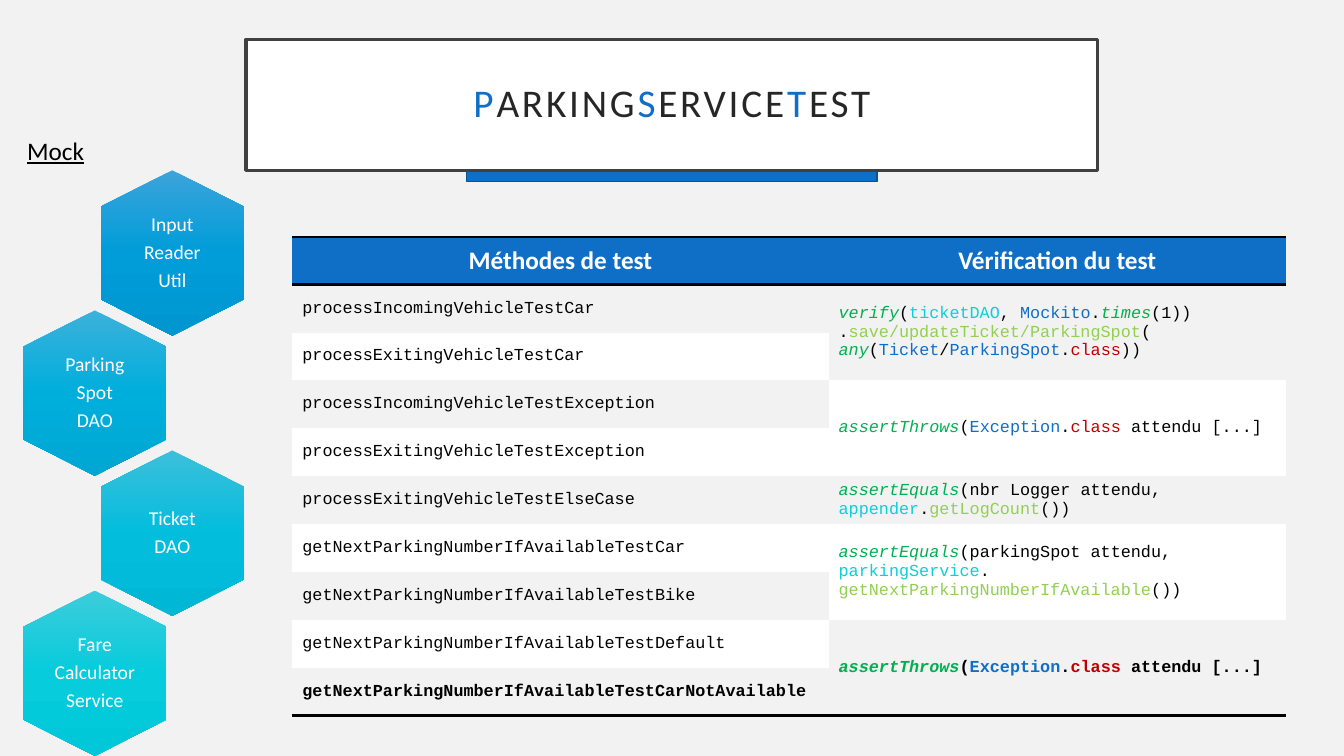
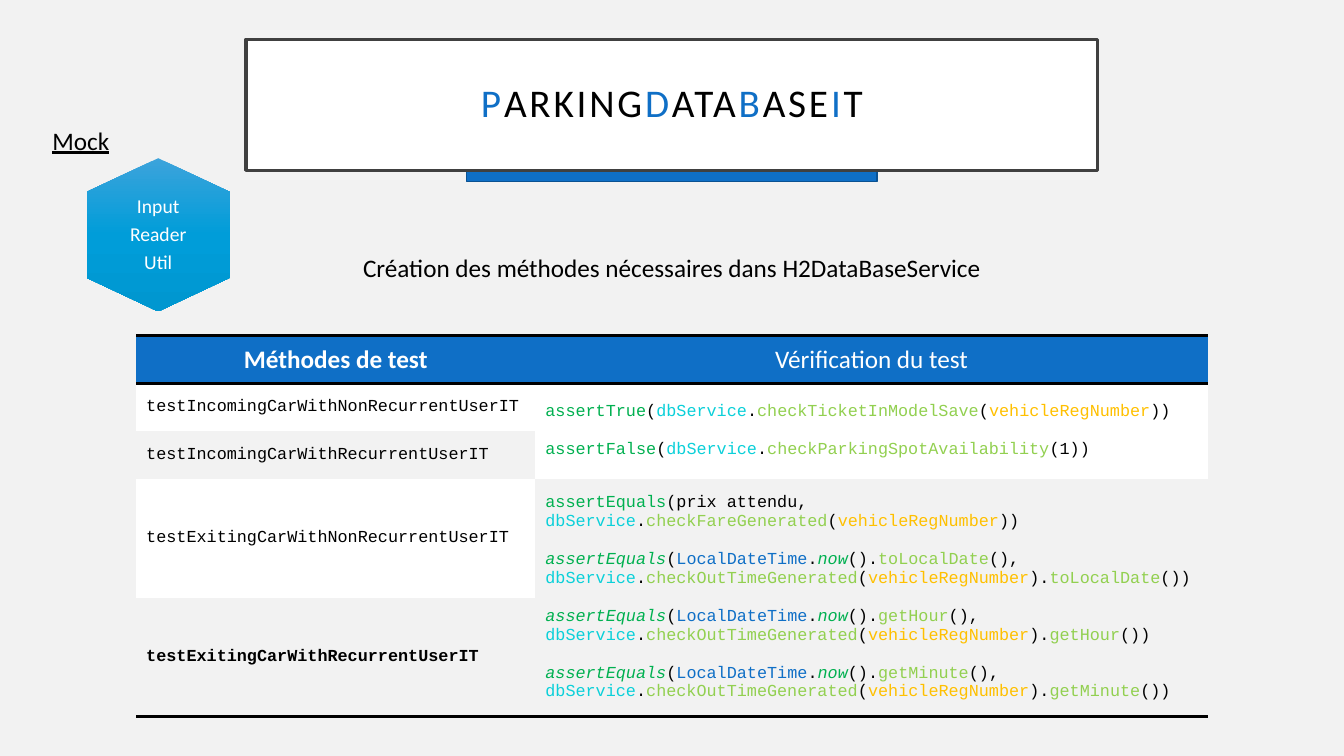
from dataclasses import dataclass, field, replace
from typing import Any, NamedTuple

from lxml.etree import SubElement
from pptx import Presentation
from pptx.dml.color import RGBColor
from pptx.enum.shapes import MSO_SHAPE as Preset
from pptx.enum.text import MSO_ANCHOR as Anchor, MSO_AUTO_SIZE as AutoSize, PP_ALIGN as Align
from pptx.oxml import parse_xml
from pptx.oxml.ns import nsdecls, qn
from pptx.util import Emu, Inches, Pt

WIDTH, HEIGHT = Inches(13.33), Inches(7.5)
PLAIN_TABLE_STYLE = "{2D5ABB26-0587-4C30-8999-92F81FD0307C}"


@dataclass(frozen=True)
class Theme:
    """Colours, fonts and type sizes shared by the slides."""
    paper: str = "F2F2F2"
    white: str = "FFFFFF"
    black: str = "000000"
    soft_black: str = "262626"
    frame: str = "404040"
    accent: str = "0F6FC6"
    accent_edge: str = "0B5292"
    function: str = "00B050"
    variable: str = "0BD0D9"
    method: str = "92D050"
    keyword: str = "C00000"
    argument: str = "FFC000"
    body_font: str = "Calibri"
    code_font: str = "Courier New"
    title_size: float = 28
    body_size: float = 18
    hexagon_size: float = 14
    code_size: float = 12


THEME = Theme()
MARKS = {
    "~": (THEME.function, True),
    "+": (THEME.function, False),
    "@": (THEME.variable, False),
    "#": (THEME.accent, False),
    "%": (THEME.method, False),
    "!": (THEME.keyword, False),
    "$": (THEME.argument, False),
}


class Box(NamedTuple):
    """A place in percent of the slide's width and height."""
    left: float
    top: float
    width: float
    height: float

    def lengths(self) -> tuple[Emu, Emu, Emu, Emu]:
        """Convert the shares to lengths."""
        return across(self.left), down(self.top), across(self.width), down(self.height)


@dataclass(frozen=True)
class TextStyle:
    """Look of a text and of its paragraphs."""
    size: float = THEME.body_size
    font: str = THEME.body_font
    ink: str = THEME.black
    bold: bool = False
    underline: bool = False
    align: Align = Align.LEFT
    line_spacing: float = 1.0
    gap: float = 0
    tracking: float = 0


class Entry(NamedTuple):
    """One table cell, possibly several rows high."""
    lines: tuple[str, ...]
    span: int = 1
    bold: bool = False


class Column(NamedTuple):
    """A table column with its header and cells."""
    width: float
    header: Entry
    entries: list[Entry]


class TestTable(NamedTuple):
    """A table of test methods and their checks."""
    left: float
    top: float
    height: float
    row_weights: tuple[float, ...]
    bands: tuple[str, str]
    columns: tuple[Column, Column]
    gap: float = 0


class Mock(NamedTuple):
    """A hexagon naming a mocked class."""
    words: tuple[str, ...]
    gradient: tuple[str, str, str]
    box: Box


@dataclass(frozen=True)
class TestSlide:
    """Content of one slide."""
    title: str
    title_ink: str
    table: TestTable
    mock_label: Box
    mocks: list[Mock] = field(default_factory=list)
    caption: str = ""


TITLE = TextStyle(THEME.title_size, align=Align.CENTER, line_spacing=0.9, tracking=2)
HEADER = TextStyle(ink=THEME.white, align=Align.CENTER)
CODE = TextStyle(THEME.code_size, THEME.code_font)
HEXAGON = TextStyle(THEME.hexagon_size, ink=THEME.white, align=Align.CENTER, line_spacing=0.9, gap=4.9)
LABEL = TextStyle(underline=True)
CAPTION = TextStyle(align=Align.CENTER)

BAND_BOX = Box(34.73, 21.07, 30.53, 2.93)
TITLE_BOX = Box(18.3, 5.2, 63.38, 17.33)
CAPTION_BOX = Box(25.28, 32.67, 49.43, 5.33)


def across(share: float) -> Emu:
    """Give a percentage of the slide's width."""
    return Emu(round(WIDTH * share / 100))


def down(share: float) -> Emu:
    """Give a percentage of the slide's height."""
    return Emu(round(HEIGHT * share / 100))


def apply(target: Any, formats: dict[str, Any]) -> None:
    """Set each format value on the target."""
    for name, value in formats.items():
        setattr(target, name, value)


def paint(fill: Any, colour: str) -> None:
    """Fill with one solid colour."""
    fill.solid()
    fill.fore_color.rgb = RGBColor.from_string(colour)


def write(text_frame: Any, lines: tuple[str, ...], style: TextStyle) -> None:
    """Write lines of runs split by bars, coloured by their leading mark."""
    for index, line in enumerate(lines):
        paragraph = text_frame.add_paragraph() if index else text_frame.paragraphs[0]
        apply(paragraph, {"alignment": style.align, "line_spacing": style.line_spacing,
                          "space_before": Pt(style.gap if index else 0)})
        for piece in line.split("|"):
            ink, italic = MARKS.get(piece[0], (style.ink, False))
            run = paragraph.add_run()
            run.text = piece[1:] if piece[0] in MARKS else piece
            apply(run.font, {"name": style.font, "size": Pt(style.size), "bold": style.bold,
                             "italic": italic, "underline": style.underline})
            run.font.color.rgb = RGBColor.from_string(ink)
            if style.tracking:
                run._r.get_or_add_rPr().set("spc", str(round(style.tracking * 100)))


def set_frame(text_frame: Any, side: float, end: float) -> None:
    """Centre the text vertically inside the given insets."""
    apply(text_frame, {"word_wrap": True, "vertical_anchor": Anchor.MIDDLE,
                       "margin_left": Inches(side), "margin_right": Inches(side),
                       "margin_top": Inches(end), "margin_bottom": Inches(end)})


def add_panel(slide: Any, box: Box, fill: str, edge: str, weight: float) -> Any:
    """Add an outlined rectangle."""
    shape = slide.shapes.add_shape(Preset.RECTANGLE, *box.lengths())
    shape.shadow.inherit = False
    paint(shape.fill, fill)
    paint(shape.line.fill, edge)
    shape.line.width = Pt(weight)
    return shape


def add_title(slide: Any, title: str, ink: str) -> None:
    """Add the framed title over its accent band."""
    add_panel(slide, BAND_BOX, THEME.accent, THEME.accent_edge, 1)
    panel = add_panel(slide, TITLE_BOX, THEME.white, THEME.frame, 2.5)
    set_frame(panel.text_frame, 0.2, 0.2)
    write(panel.text_frame, (title,), replace(TITLE, ink=ink))


def add_text(slide: Any, box: Box, text: str, style: TextStyle) -> None:
    """Add a growing text box."""
    text_frame = slide.shapes.add_textbox(*box.lengths()).text_frame
    apply(text_frame, {"word_wrap": True, "auto_size": AutoSize.SHAPE_TO_FIT_TEXT})
    write(text_frame, (text,), style)


def add_mock(slide: Any, mock: Mock) -> None:
    """Add a pointed hexagon with a vertical gradient."""
    left, top, width, height = mock.box.lengths()
    corners = [(0.5, 0), (1, 0.22), (1, 0.78), (0.5, 1), (0, 0.78), (0, 0.22)]
    points = [(round(left + x * width), round(top + y * height)) for x, y in corners]
    builder = slide.shapes.build_freeform(*points[0])
    builder.add_line_segments(points[1:], close=True)
    shape = builder.convert_to_shape()
    shape.shadow.inherit = False
    shape.line.fill.background()
    shape.fill.gradient()
    shape.fill.gradient_angle = 270
    stops = shape.element.spPr.find(qn("a:gradFill")).find(qn("a:gsLst"))
    stops.clear()
    for index, colour in enumerate(mock.gradient):
        stop = SubElement(stops, qn("a:gs"), pos=str(index * 50000))
        SubElement(stop, qn("a:srgbClr"), val=colour)
    set_frame(shape.text_frame, 0.28, 0.31)
    write(shape.text_frame, mock.words, HEXAGON)


def add_borders(cell: Any, sides: str) -> None:
    """Rule the given sides of a cell, T for top and B for bottom."""
    properties = cell._tc.get_or_add_tcPr()
    for index, side in enumerate(sides):
        properties.insert(index, parse_xml(
            f'<a:ln{side} {nsdecls("a")} w="{Pt(2)}"><a:solidFill>'
            f'<a:srgbClr val="{THEME.black}"/></a:solidFill></a:ln{side}>'))


def add_test_table(slide: Any, content: TestTable) -> None:
    """Add the table, with bands that alternate down each column."""
    count = len(content.row_weights)
    width = sum(column.width for column in content.columns)
    box = Box(content.left, content.top, width, content.height)
    frame = slide.shapes.add_table(count, len(content.columns), *box.lengths())
    table = frame.table
    apply(table, {"first_row": False, "horz_banding": False})
    for style_id in frame.element.iter(qn("a:tableStyleId")):
        style_id.text = PLAIN_TABLE_STYLE
    unit = content.height / sum(content.row_weights)
    for row, weight in zip(table.rows, content.row_weights):
        row.height = down(unit * weight)
    for position, column in enumerate(content.columns):
        table.columns[position].width = across(column.width)
        start = 0
        for order, entry in enumerate([column.header, *column.entries]):
            cells = [table.cell(start + step, position) for step in range(entry.span)]
            start += entry.span
            if entry.span > 1:
                cells[0].merge(cells[-1])
            for cell in cells:
                paint(cell.fill, content.bands[(order - 1) % 2] if order else THEME.accent)
                if order == 0 or start == count:
                    add_borders(cell, "B" if order else "TB")
            cells[0].vertical_anchor = Anchor.MIDDLE
            style = replace(CODE, gap=content.gap) if order else HEADER
            write(cells[0].text_frame, entry.lines, replace(style, bold=entry.bold))


def method_column(width: float, names: list[str]) -> Column:
    """List test methods, the last one in bold."""
    entries = [Entry((name,), bold=name == names[-1]) for name in names]
    return Column(width, Entry(("Méthodes de test",), bold=True), entries)


def time_check(getter: str) -> str:
    """Give the check that compares one part of the exit time."""
    return (f"~assertEquals|(|#LocalDateTime|.|~now|().|%{getter}|(), |@dbService|.|"
            f"%checkOutTimeGenerated|(|$vehicleRegNumber|).|%{getter}|())")


THROWS = ("~assertThrows|(|#Exception|.|!class| attendu [...]",)
READER = Mock(("Input", "Reader", "Util"), ("3CA3DB", "009DD9", "0097D0"), Box(6.45, 20.93, 10.65, 20.27))
SERVICE_MOCKS = [
    (READER.words, READER.gradient),
    (("Parking", "Spot", "DAO"), ("3CB1DB", "00AEDC", "00A7D3")),
    (("Ticket", "DAO"), ("3CBFDB", "03BDDC", "00B7D6")),
    (("Fare", "Calculator", "Service"), ("3DCCDB", "06CCDC", "00C8D9")),
]
SERVICE_TABLE = TestTable(21.75, 31.33, 63.33, (1,) * 10, (THEME.paper, THEME.white), (
    method_column(39.9, [
        "processIncomingVehicleTestCar", "processExitingVehicleTestCar",
        "processIncomingVehicleTestException", "processExitingVehicleTestException",
        "processExitingVehicleTestElseCase", "getNextParkingNumberIfAvailableTestCar",
        "getNextParkingNumberIfAvailableTestBike", "getNextParkingNumberIfAvailableTestDefault",
        "getNextParkingNumberIfAvailableTestCarNotAvailable"]),
    Column(34.05, Entry(("Vérification du test",), bold=True), [
        Entry(("~verify|(|@ticketDAO|, |#Mockito|.|~times|(1))", ".|%save/updateTicket/ParkingSpot|(",
               "~any|(|#Ticket|/|#ParkingSpot|.|!class|))"), 2),
        Entry(THROWS, 2),
        Entry(("~assertEquals|(nbr Logger attendu, |@appender|.|%getLogCount|())",)),
        Entry(("~assertEquals|(parkingSpot attendu, |@parkingService|.",
               "%getNextParkingNumberIfAvailable|())"), 2),
        Entry(THROWS, 2, True)])))
DATABASE_TABLE = TestTable(10.13, 44.4, 50.4, (1, 1, 1, 2.5, 2.5), (THEME.white, THEME.paper), (
    method_column(29.7, [
        "testIncomingCarWithNonRecurrentUserIT", "testIncomingCarWithRecurrentUserIT",
        "testExitingCarWithNonRecurrentUserIT", "testExitingCarWithRecurrentUserIT"]),
    Column(50.03, Entry(("Vérification du test",)), [
        Entry(("+assertTrue|(|@dbService|.|%checkTicketInModelSave|(|$vehicleRegNumber|))",
               "+assertFalse|(|@dbService|.|%checkParkingSpotAvailability|(1))"), 2),
        Entry(("+assertEquals|(prix attendu, |@dbService|.|%checkFareGenerated|(|$vehicleRegNumber|))",
               *map(time_check, ("toLocalDate", "getHour", "getMinute"))), 2)])), gap=13.6)
SLIDES = [
    TestSlide("#P|ARKING|#S|ERVICE|#T|EST", THEME.soft_black, SERVICE_TABLE, Box(1.28, 17.2, 6.53, 5.33),
              [Mock(words, gradient, Box((7.5, 1.73)[index % 2], 22.53 + 18.53 * index, 10.65, 21.87))
               for index, (words, gradient) in enumerate(SERVICE_MOCKS)]),
    TestSlide("#P|ARKING|#D|ATA|#B|ASE|#I|T", THEME.black, DATABASE_TABLE, Box(3.15, 15.87, 6.53, 5.07),
              [READER], "Création des méthodes nécessaires dans H2DataBaseService"),
]


def main() -> None:
    """Build and save the presentation."""
    presentation = Presentation()
    apply(presentation, {"slide_width": WIDTH, "slide_height": HEIGHT})
    paint(presentation.slide_master.background.fill, THEME.paper)
    for content in SLIDES:
        slide = presentation.slides.add_slide(presentation.slide_layouts[6])
        add_title(slide, content.title, content.title_ink)
        add_test_table(slide, content.table)
        if content.caption:
            add_text(slide, CAPTION_BOX, content.caption, CAPTION)
        for mock in content.mocks:
            add_mock(slide, mock)
        add_text(slide, content.mock_label, "Mock", LABEL)
    presentation.save("out.pptx")


if __name__ == "__main__":
    main()
